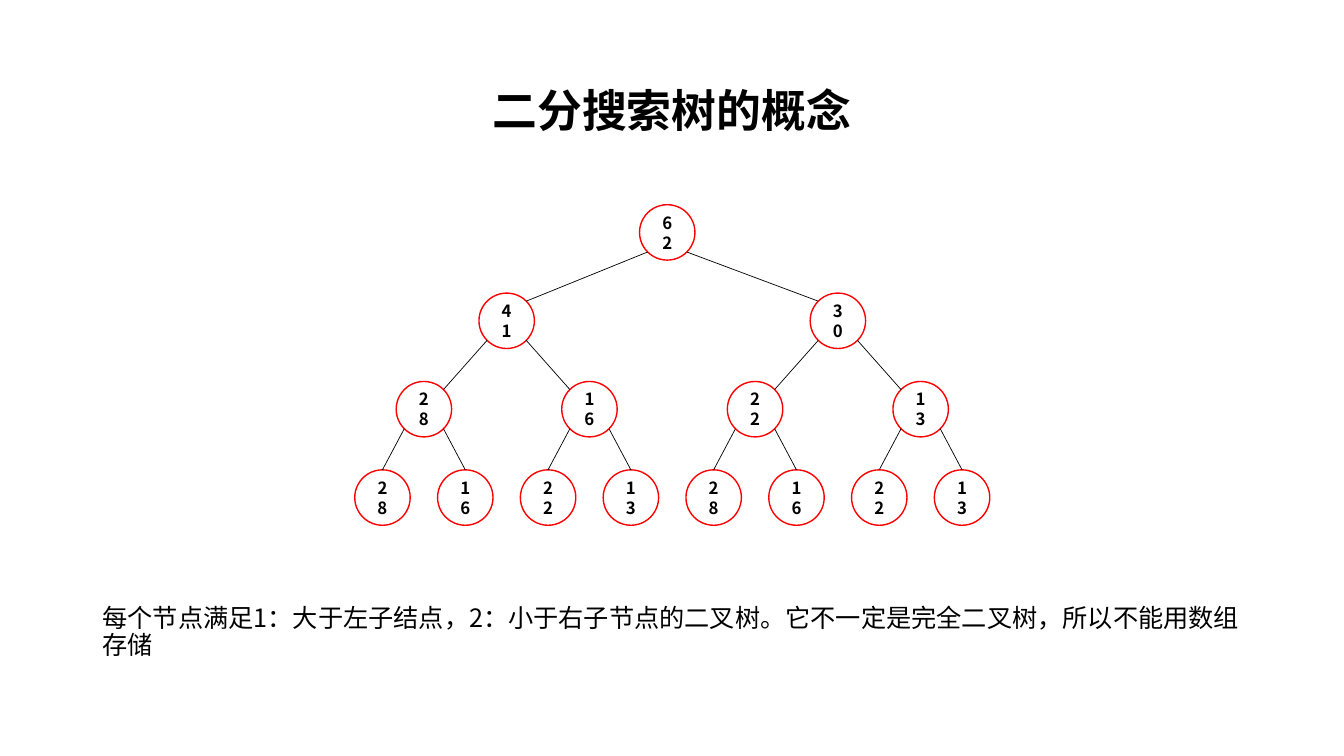
from dataclasses import dataclass
from math import sqrt

from lxml import etree
from pptx import Presentation
from pptx.dml.color import RGBColor
from pptx.enum.shapes import MSO_CONNECTOR, MSO_SHAPE
from pptx.enum.text import MSO_ANCHOR, PP_ALIGN
from pptx.oxml.ns import qn
from pptx.util import Pt


@dataclass(frozen=True)
class Theme:
    font: str = "Noto Sans CJK SC"
    ink: RGBColor = RGBColor(0, 0, 0)
    ring: RGBColor = RGBColor(255, 0, 0)
    title_size: int = 32
    body_size: int = 18
    node_size: int = 12
    ring_width: float = 1
    edge_width: float = 0.5


@dataclass(frozen=True)
class Box:
    left: float
    top: float
    width: float
    height: float


THEME = Theme()
NODE_DIAMETER = 39.6
ROOT_SHIFT = -3.6
TREE_LEVELS = [
    ["62"],
    ["41", "30"],
    ["28", "16", "22", "13"],
    ["28", "16", "22", "13", "28", "16", "22", "13"],
]


def place(shape, box):
    shape.left, shape.top = Pt(box.left), Pt(box.top)
    shape.width, shape.height = Pt(box.width), Pt(box.height)


def write(shape, text, size, bold, align, anchor):
    frame = shape.text_frame
    frame.word_wrap = True
    frame.vertical_anchor = anchor
    paragraph = frame.paragraphs[0]
    paragraph.alignment = align
    run = paragraph.add_run()
    run.text = text
    run.font.size = Pt(size)
    run.font.bold = bold
    run.font.name = THEME.font
    run.font.color.rgb = THEME.ink
    east_asian = etree.SubElement(run.font._element, qn("a:ea"))
    east_asian.set("typeface", THEME.font)
    return paragraph


def add_title(slide, box, text):
    title = slide.shapes.title
    place(title, box)
    paragraph = write(title, text, THEME.title_size, True,
                      PP_ALIGN.CENTER, MSO_ANCHOR.MIDDLE)
    paragraph.line_spacing = 0.9


def add_definition(slide, box, text):
    body = slide.placeholders[1]
    place(body, box)
    paragraph = write(body, text, THEME.body_size, False,
                      PP_ALIGN.LEFT, MSO_ANCHOR.TOP)
    paragraph.line_spacing = 0.9
    paragraph.space_before = Pt(0)
    properties = paragraph._p.get_or_add_pPr()
    properties.set("marL", "0")
    properties.set("indent", "0")
    etree.SubElement(properties, qn("a:buNone"))


def add_node(tree, center, value):
    radius = NODE_DIAMETER / 2
    node = tree.shapes.add_shape(
        MSO_SHAPE.OVAL, Pt(center[0] - radius), Pt(center[1] - radius),
        Pt(NODE_DIAMETER), Pt(NODE_DIAMETER))
    node.shadow.inherit = False
    node.fill.background()
    node.line.color.rgb = THEME.ring
    node.line.width = Pt(THEME.ring_width)
    write(node, value, THEME.node_size, True, PP_ALIGN.CENTER, MSO_ANCHOR.MIDDLE)


def add_edge(tree, parent, child, side, child_is_leaf):
    radius = NODE_DIAMETER / 2
    diagonal = radius / sqrt(2)
    end_x = child[0] if child_is_leaf else child[0] - side * diagonal
    end_y = child[1] - (radius if child_is_leaf else diagonal)
    edge = tree.shapes.add_connector(
        MSO_CONNECTOR.STRAIGHT,
        Pt(parent[0] + side * diagonal), Pt(parent[1] + diagonal),
        Pt(end_x), Pt(end_y))
    edge.line.color.rgb = THEME.ink
    edge.line.width = Pt(THEME.edge_width)
    etree.SubElement(edge._element.spPr, qn("a:effectLst"))


def tree_centers(box, levels):
    radius = NODE_DIAMETER / 2
    last = len(levels) - 1
    row_step = (box.height - NODE_DIAMETER) / last
    leaf_step = (box.width - NODE_DIAMETER) / (len(levels[last]) - 1)
    centers = []
    for depth, values in enumerate(levels):
        span = 2 ** (last - depth)
        shift = ROOT_SHIFT if depth == 0 else 0
        y = box.top + radius + depth * row_step
        centers.append([
            (box.left + radius + shift + (i * span + (span - 1) / 2) * leaf_step, y)
            for i in range(len(values))])
    return centers


def add_tree(slide, box, levels):
    tree = slide.shapes.add_group_shape()
    centers = tree_centers(box, levels)
    for row, values in zip(centers, levels):
        for center, value in zip(row, values):
            add_node(tree, center, value)
    for depth in range(1, len(levels)):
        for i, child in enumerate(centers[depth]):
            add_edge(tree, centers[depth - 1][i // 2], child,
                     1 if i % 2 else -1, depth == len(levels) - 1)


def main():
    deck = Presentation()
    deck.slide_width, deck.slide_height = Pt(960), Pt(540)
    slide = deck.slides.add_slide(deck.slide_layouts[1])
    add_title(slide, Box(66, 28.8, 828, 104.4), "二分搜索树的概念")
    add_definition(
        slide, Box(66, 429, 828, 60),
        "每个节点满足1：大于左子结点，2：小于右子节点的二叉树。"
        "它不一定是完全二叉树，所以不能用数组存储")
    add_tree(slide, Box(253.4, 146.2, 453.6, 229), TREE_LEVELS)
    deck.save("out.pptx")


main()
